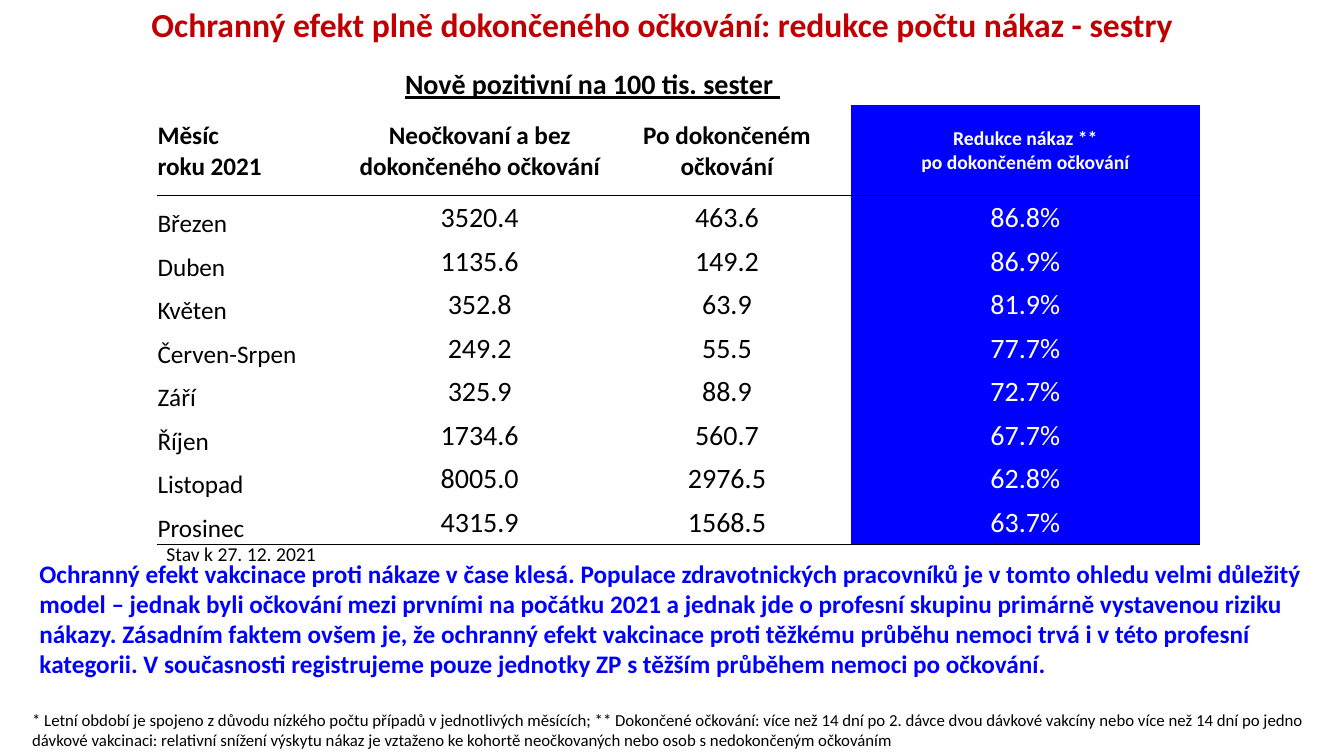
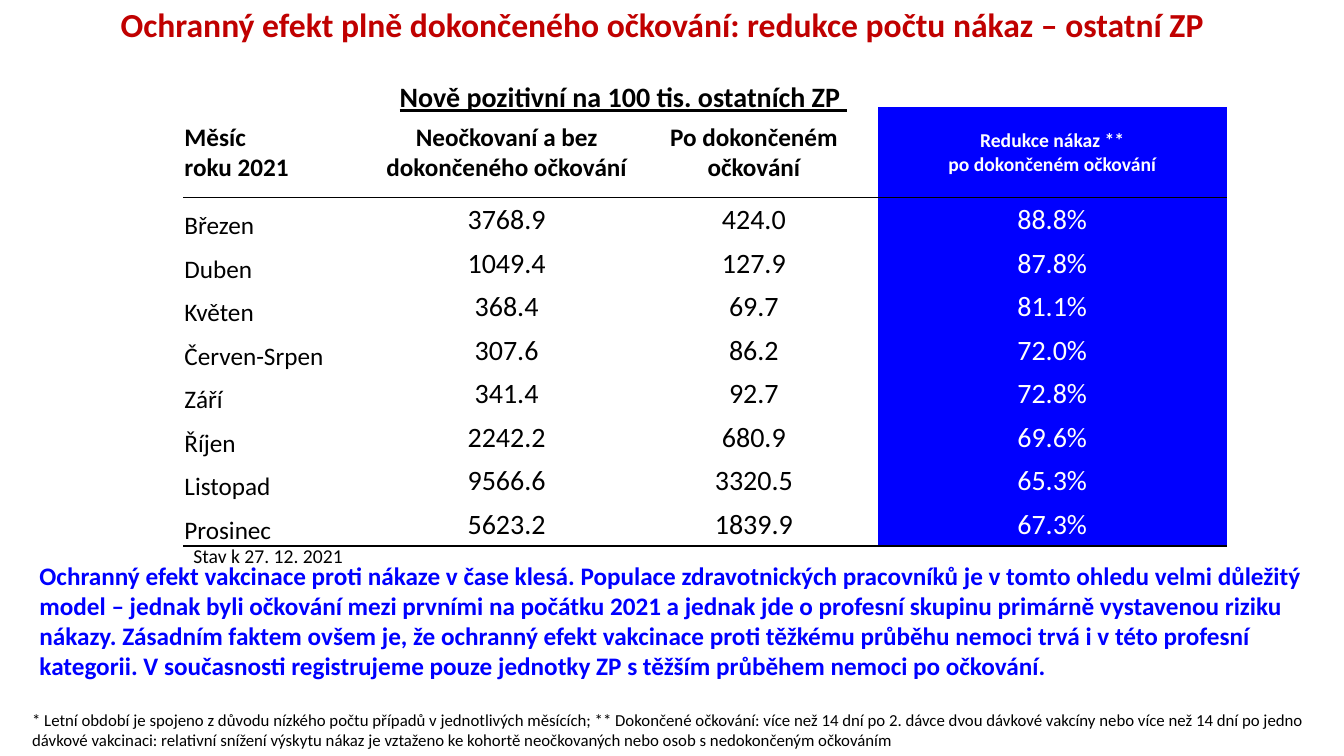
from pptx import Presentation
from pptx.dml.color import RGBColor
from pptx.enum.text import MSO_ANCHOR as Anchor, MSO_AUTO_SIZE as Fit, PP_ALIGN as Align
from pptx.oxml import parse_xml
from pptx.oxml.ns import nsdecls, qn
from pptx.util import Inches, Pt

RED = RGBColor(0xC0, 0x00, 0x00)
BLUE = RGBColor(0x00, 0x00, 0xFF)
BLACK = RGBColor(0x00, 0x00, 0x00)
WHITE = RGBColor(0xFF, 0xFF, 0xFF)
FONT = "Calibri"
NO_STYLE = "{2D5ABB26-0587-4C30-8999-92F81FD0307C}"

# Table grid, in percent of the slide
COLS = [14.85, 18.4, 18.4, 26]
TOP_ROW, HEAD_ROW = 5.76, 12

HEADS = ["Měsíc\nroku 2021", "Neočkovaní a bez dokončeného očkování",
         "Po dokončeném\nočkování", "Redukce nákaz **\npo dokončeném očkování"]
MONTHS = ["Březen", "Duben", "Květen", "Červen-Srpen", "Září", "Říjen", "Listopad", "Prosinec"]
DATE = "Stav k 27. 12. 2021"
CLAIM = (
    "Ochranný efekt vakcinace proti nákaze v čase klesá. Populace zdravotnických pracovníků "
    "je v tomto ohledu velmi důležitý model – jednak byli očkování mezi prvními na počátku 2021 "
    "a jednak jde o profesní skupinu primárně vystavenou riziku nákazy. Zásadním faktem ovšem je, "
    "že ochranný efekt vakcinace proti těžkému průběhu nemoci trvá i v této profesní kategorii. "
    "V současnosti registrujeme pouze jednotky ZP s těžším průběhem nemoci po očkování.")
NOTE = (
    "* Letní období je spojeno z důvodu nízkého počtu případů v jednotlivých měsících; "
    "** Dokončené očkování: více než 14 dní po 2. dávce dvou dávkové vakcíny nebo více než "
    "14 dní po jedno dávkové vakcinaci: relativní snížení výskytu nákaz je vztaženo ke kohortě "
    "neočkovaných nebo osob s nedokončeným očkováním")


class Deck:
    def __init__(self):
        self.prs = Presentation()
        self.prs.slide_width, self.prs.slide_height = Inches(13.33), Inches(7.5)
        self.slide = None

    def across(self, share):
        return round(self.prs.slide_width * share / 100)

    def down(self, share):
        return round(self.prs.slide_height * share / 100)

    def area(self, x, y, w, h):
        return self.across(x), self.down(y), self.across(w), self.down(h)

    def put(self, frame, text, size, color=BLACK, bold=False, align=Align.LEFT, under=None):
        frame.text = text
        frame.word_wrap = True
        for par in frame.paragraphs:
            par.alignment = align
            font = par.font
            font.name, font.size, font.bold = FONT, Pt(size), bold
            font.underline = under
            font.color.rgb = color

    def title(self, text):
        self.slide = self.prs.slides.add_slide(self.prs.slide_layouts[5])
        head = self.slide.shapes.title
        head.left, head.top, head.width, head.height = self.area(1.65, 0.5, 95.25, 19.3)
        frame = head.text_frame
        self.put(frame, text, 24, RED, True, Align.CENTER)
        frame.auto_size, frame.vertical_anchor = Fit.NONE, Anchor.TOP
        frame.paragraphs[0].line_spacing = 0.9

    def text(self, spot, text, size, **style):
        box = self.slide.shapes.add_textbox(*self.area(*spot))
        self.put(box.text_frame, text, size, **style)

    def rule(self, cell):
        line = parse_xml(
            f'<a:lnB {nsdecls("a")} w="12700"><a:solidFill><a:srgbClr val="{BLACK}"/>'
            '</a:solidFill></a:lnB>')
        cell._tc.get_or_add_tcPr().insert(0, line)

    def cell(self, cell, text, head, col):
        first, last = col == 0, col == len(COLS) - 1
        cell.margin_left = cell.margin_right = cell.margin_top = Inches(0.01)
        cell.margin_bottom = 0
        cell.vertical_anchor = Anchor.BOTTOM if first and not head else Anchor.MIDDLE
        if last:
            cell.fill.solid()
            cell.fill.fore_color.rgb = BLUE
        else:
            cell.fill.background()
        if head:
            size = 14 if last else 18
        else:
            size = 18 if first else 20
        self.put(cell.text_frame, text, size, WHITE if last else BLACK, head,
                 Align.LEFT if first else Align.CENTER)

    def table(self, x, y, data):
        rows = [HEADS] + [[month, *vals] for month, vals in zip(MONTHS, data)]
        tall = [TOP_ROW, HEAD_ROW] + [TOP_ROW] * len(data)
        grid = self.slide.shapes.add_table(
            len(tall), len(COLS), *self.area(x, y, sum(COLS), sum(tall))).table
        grid._tbl.tblPr.find(qn("a:tableStyleId")).text = NO_STYLE
        grid.first_row = grid.horz_banding = False
        for col, share in zip(grid.columns, COLS):
            col.width = self.across(share)
        for row, share in zip(grid.rows, tall):
            row.height = self.down(share)
        # Open row behind the subtitle
        for col in range(len(COLS)):
            grid.cell(0, col).fill.background()
        grid.cell(0, 2).merge(grid.cell(0, 3))
        # Headings and months
        for r, vals in enumerate(rows, 1):
            for c, val in enumerate(vals):
                cell = grid.cell(r, c)
                self.cell(cell, val, r == 1, c)
                if r in (1, len(rows)):
                    self.rule(cell)

    def page(self, title, sub, spot, x, y, data):
        self.title(title)
        self.text(spot, sub, 20, bold=True, align=Align.CENTER, under=True)
        self.text((1.65, 93.2, 97.45, 6.7), NOTE, 12)
        self.table(x, y, data)
        self.text((x, y + 62.9, 16.6, 4.55), DATE, 14)
        self.text((2.2, y + 65, 96.55, 17.5), CLAIM, 18, color=BLUE, bold=True)


NURSES = [
    ("3520.4", "463.6", "86.8%"), ("1135.6", "149.2", "86.9%"),
    ("352.8", "63.9", "81.9%"), ("249.2", "55.5", "77.7%"),
    ("325.9", "88.9", "72.7%"), ("1734.6", "560.7", "67.7%"),
    ("8005.0", "2976.5", "62.8%"), ("4315.9", "1568.5", "63.7%"),
]
OTHERS = [
    ("3768.9", "424.0", "88.8%"), ("1049.4", "127.9", "87.8%"),
    ("368.4", "69.7", "81.1%"), ("307.6", "86.2", "72.0%"),
    ("341.4", "92.7", "72.8%"), ("2242.2", "680.9", "69.6%"),
    ("9566.6", "3320.5", "65.3%"), ("5623.2", "1839.9", "67.3%"),
]


def main():
    deck = Deck()
    lead = "Ochranný efekt plně dokončeného očkování: redukce počtu nákaz "
    deck.page(lead + "- sestry", "Nově pozitivní na 100 tis. sester ",
              (27.45, 8.15, 33.25, 5.85), 11.65, 8.15, NURSES)
    deck.page(lead + "– ostatní ZP", "Nově pozitivní na 100 tis. ostatních ZP ",
              (28.6, 9.85, 35.55, 5.85), 13.65, 8.4, OTHERS)
    deck.prs.save("out.pptx")


if __name__ == "__main__":
    main()
